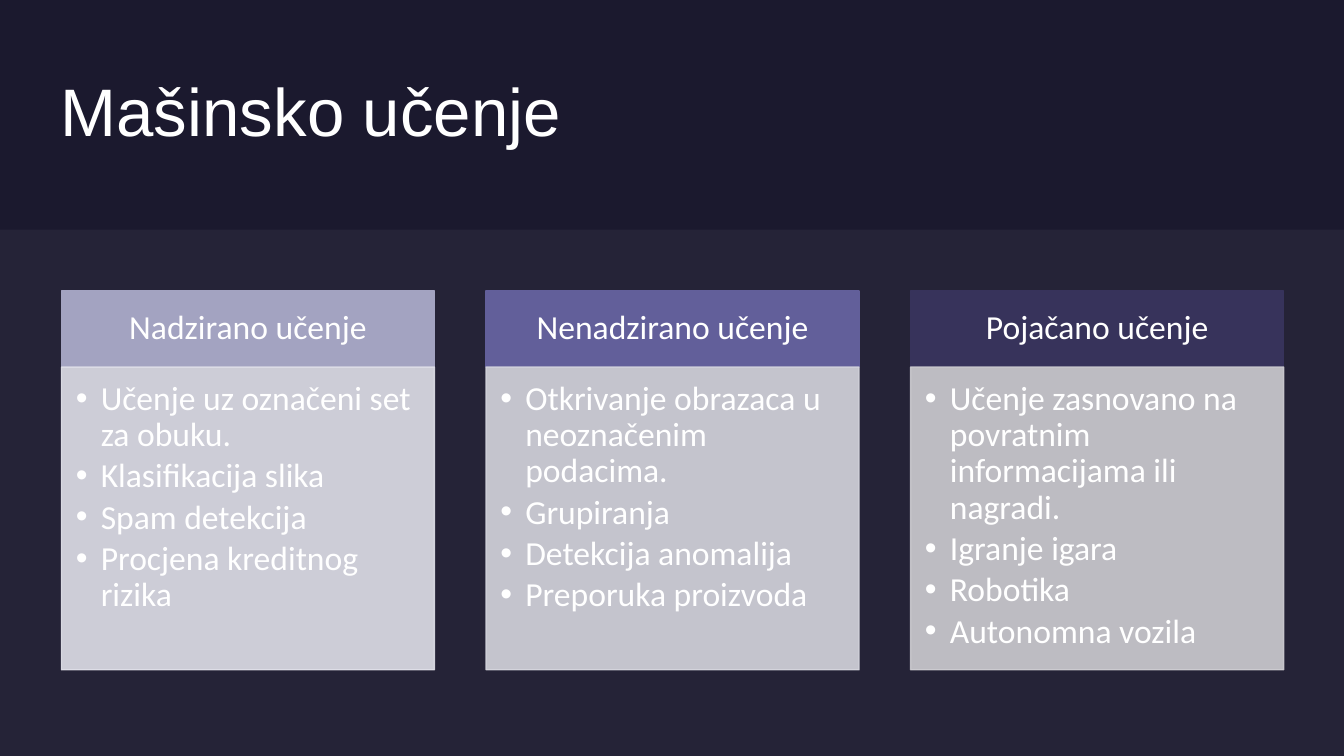
from lxml.etree import SubElement
from pptx import Presentation
from pptx.dml.color import RGBColor
from pptx.enum.shapes import MSO_SHAPE as Shape
from pptx.enum.text import MSO_ANCHOR as Anchor, PP_ALIGN as Align
from pptx.oxml.ns import qn
from pptx.util import Cm, Pt

WIDTH, HEIGHT = 33.87, 19.05
NIGHT = RGBColor(0x1B, 0x19, 0x2E)
MIST = RGBColor(0xE4, 0xE3, 0xF0)
WHITE = RGBColor(0xFF, 0xFF, 0xFF)
LILAC = RGBColor(0xA3, 0xA3, 0xC1)
LILAC_PALE = RGBColor(0xE0, 0xE0, 0xE9)
VIOLET = RGBColor(0x62, 0x5F, 0x9A)
VIOLET_PALE = RGBColor(0xD6, 0xD6, 0xDE)
INDIGO = RGBColor(0x37, 0x33, 0x5B)
INDIGO_PALE = RGBColor(0xCE, 0xCD, 0xD2)

COLUMN_LEFT, COLUMN_PITCH, COLUMN_WIDTH = 1.55, 10.7, 9.4
HEADER_TOP, HEADER_HEIGHT, BODY_HEIGHT = 7.33, 1.92, 7.63
COLUMNS = [
    ("Nadzirano učenje", LILAC, LILAC_PALE,
     ["Učenje uz označeni set za obuku.", "Klasifikacija slika",
      "Spam detekcija", "Procjena kreditnog rizika"]),
    ("Nenadzirano učenje", VIOLET, VIOLET_PALE,
     ["Otkrivanje obrazaca u neoznačenim podacima.", "Grupiranja",
      "Detekcija anomalija", "Preporuka proizvoda"]),
    ("Pojačano učenje", INDIGO, INDIGO_PALE,
     ["Učenje zasnovano na povratnim informacijama ili nagradi.",
      "Igranje igara", "Robotika", "Autonomna vozila"]),
]


class SlideBuilder:
    """Draws styled elements on the current slide."""

    def __init__(self, slide):
        self.slide = slide
        self.title_font, self.body_font = "Arial", "Calibri"
        self.title_size, self.body_size = 48, 24

    def background(self, color):
        fill = self.slide.background.fill
        fill.solid()
        fill.fore_color.rgb = color

    def panel(self, left, top, width, height, color, opacity=100, outlined=False):
        shape = self.slide.shapes.add_shape(
            Shape.RECTANGLE, Cm(left), Cm(top), Cm(width), Cm(height))
        shape.shadow.inherit = False
        shape.fill.solid()
        shape.fill.fore_color.rgb = color
        if outlined:
            shape.line.color.rgb = color
            shape.line.width = Pt(1)
        else:
            shape.line.fill.background()
        if opacity < 100:
            for color_element in shape._element.spPr.iter(qn("a:srgbClr")):
                SubElement(color_element, qn("a:alpha"), val=str(opacity * 1000))
        return shape

    def set_text(self, shape, lines, font, size, align, anchor, margins, bullets=False):
        frame = shape.text_frame
        frame.text = "\n".join(lines)
        frame.word_wrap = True
        frame.vertical_anchor = anchor
        (frame.margin_left, frame.margin_top,
         frame.margin_right, frame.margin_bottom) = [Cm(margin) for margin in margins]
        for paragraph in frame.paragraphs:
            paragraph.alignment = align
            paragraph.line_spacing = 0.9
            if bullets:
                self.bullet(paragraph)
            paragraph.font.name = font
            paragraph.font.size = Pt(size)
            paragraph.font.color.rgb = WHITE

    def bullet(self, paragraph):
        paragraph.level = 1
        paragraph.space_after = Pt(3.6)
        properties = paragraph._p.get_or_add_pPr()
        properties.set("marL", str(Cm(0.63)))
        properties.set("indent", str(-Cm(0.63)))
        SubElement(properties, qn("a:buFont"), typeface="Arial")
        SubElement(properties, qn("a:buChar"), char="•")

    def title(self, text, left, top, width, height):
        box = self.slide.shapes.add_textbox(Cm(left), Cm(top), Cm(width), Cm(height))
        self.set_text(box, [text], self.title_font, self.title_size,
                      Align.LEFT, Anchor.MIDDLE, (0, 0, 0, 0))

    def column(self, left, heading, color, pale, items):
        header = self.panel(left, HEADER_TOP, COLUMN_WIDTH, HEADER_HEIGHT,
                            color, outlined=True)
        self.set_text(header, [heading], self.body_font, self.body_size,
                      Align.CENTER, Anchor.MIDDLE, (0.48, 0.28, 0.48, 0.28))
        body = self.panel(left, HEADER_TOP + HEADER_HEIGHT, COLUMN_WIDTH, BODY_HEIGHT,
                          pale, opacity=90, outlined=True)
        self.set_text(body, items, self.body_font, self.body_size,
                      Align.LEFT, Anchor.TOP, (0.36, 0.36, 0.48, 0.53), bullets=True)


def main():
    presentation = Presentation()
    presentation.slide_width, presentation.slide_height = Cm(WIDTH), Cm(HEIGHT)
    builder = SlideBuilder(presentation.slides.add_slide(presentation.slide_layouts[6]))
    builder.background(NIGHT)
    builder.panel(0, 0, WIDTH, HEIGHT, NIGHT)
    builder.title("Mašinsko učenje", 1.53, 1.53, 20.3, 2.74)
    builder.panel(0, 5.79, WIDTH, HEIGHT - 5.79, MIST, opacity=5)
    for index, column in enumerate(COLUMNS):
        builder.column(COLUMN_LEFT + index * COLUMN_PITCH, *column)
    presentation.save("out.pptx")


if __name__ == "__main__":
    main()
